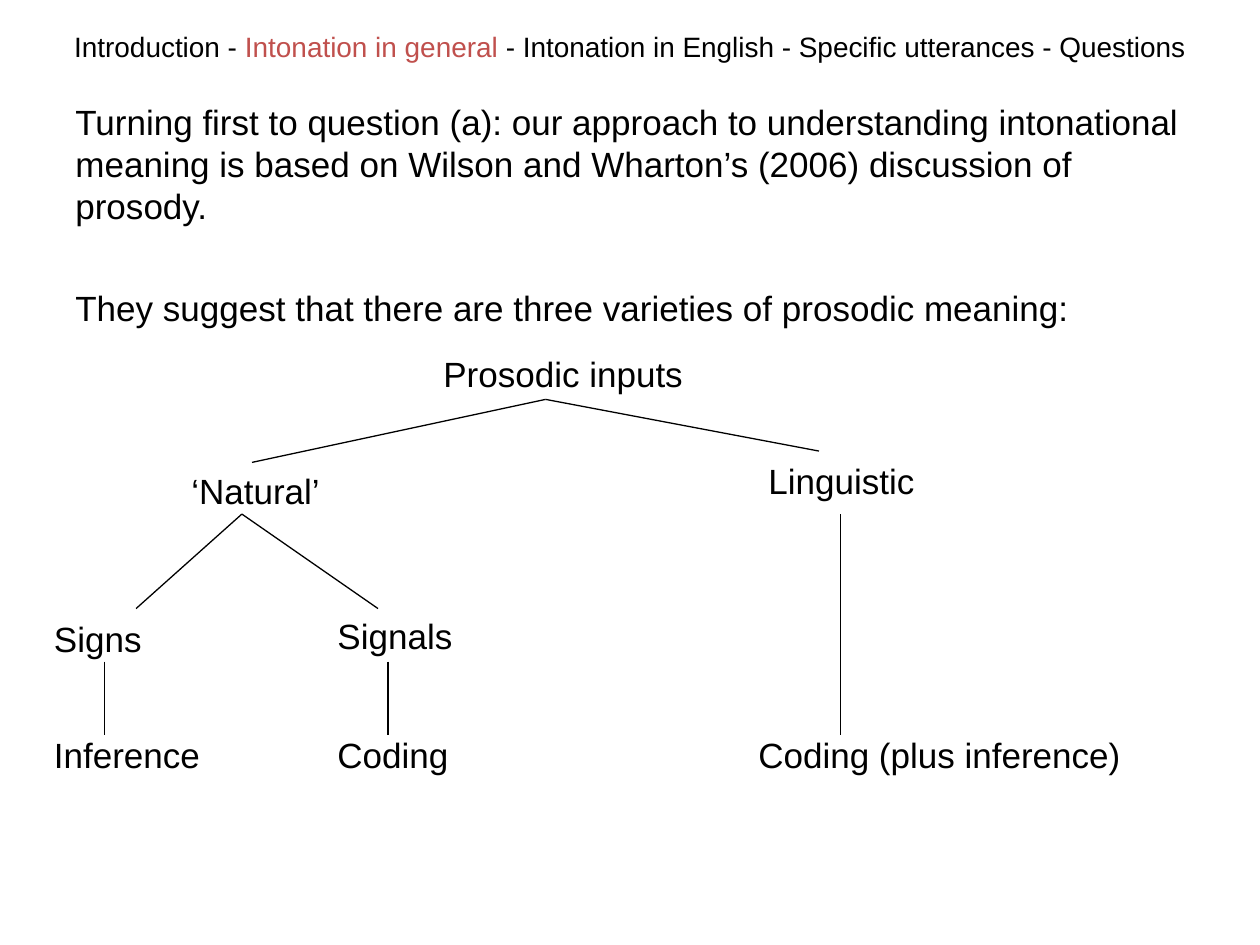
from dataclasses import dataclass

from pptx import Presentation
from pptx.dml.color import RGBColor
from pptx.enum.shapes import MSO_CONNECTOR
from pptx.enum.text import MSO_ANCHOR, PP_ALIGN
from pptx.oxml.ns import qn
from pptx.util import Inches, Pt


@dataclass(frozen=True)
class Theme:
    font: str = "Arial"
    ink: RGBColor = RGBColor(0x00, 0x00, 0x00)
    accent: RGBColor = RGBColor(0xC0, 0x50, 0x4D)
    navigation_size: Pt = Pt(16)
    text_size: Pt = Pt(20)
    body_leading: Pt = Pt(24)
    body_gap: Pt = Pt(34)
    branch_width: Pt = Pt(0.75)


THEME = Theme()

SECTIONS = ["Introduction", "Intonation in general", "Intonation in English",
            "Specific utterances", "Questions"]
CURRENT_SECTION = "Intonation in general"

BODY = [
    "Turning first to question (a): our approach to understanding intonational "
    "meaning is based on Wilson and Wharton’s (2006) discussion of prosody.",
    "They suggest that there are three varieties of prosodic meaning:",
]

NODE_WIDTH, NODE_HEIGHT = 2.17, 0.44
SIGNS_LEFT, SIGNALS_LEFT, OUTCOME_TOP = 0.33, 2.58, 5.77
NODES = [  # text, left, top, width
    ("Prosodic inputs", 3.42, 2.75, NODE_WIDTH),
    ("‘Natural’", 1.42, 3.68, NODE_WIDTH),
    ("Linguistic", 6, 3.6, NODE_WIDTH),
    ("Signs", SIGNS_LEFT, 4.85, NODE_WIDTH),
    ("Signals", SIGNALS_LEFT, 4.83, NODE_WIDTH),
    ("Inference", SIGNS_LEFT, OUTCOME_TOP, NODE_WIDTH),
    ("Coding", SIGNALS_LEFT, OUTCOME_TOP, NODE_WIDTH),
    ("Coding (plus inference)", 5.92, OUTCOME_TOP, 3.83),
]

BRANCHES = [  # parent point, child points
    ((4.33, 3.17), [(2, 3.67), (6.5, 3.58)]),
    ((1.92, 4.08), [(1.08, 4.83), (3, 4.83)]),
    ((0.83, 5.25), [(0.83, 5.83)]),
    ((3.08, 5.25), [(3.08, 5.83)]),
    ((6.67, 4.08), [(6.67, 5.83)]),
]


def add_text_frame(slide, left, top, width, height):
    box = slide.shapes.add_textbox(Inches(left), Inches(top),
                                   Inches(width), Inches(height))
    box.text_frame.word_wrap = True
    return box.text_frame


def style(paragraph, size):
    paragraph.font.name = THEME.font
    paragraph.font.size = size


def add_navigation(slide):
    """Section names in one line, the current one in the accent colour."""
    frame = add_text_frame(slide, 0, 0.08, 10, 0.58)
    frame.margin_left = frame.margin_right = 0
    frame.margin_top = frame.margin_bottom = 0
    frame.vertical_anchor = MSO_ANCHOR.MIDDLE
    paragraph = frame.paragraphs[0]
    paragraph.alignment = PP_ALIGN.CENTER
    style(paragraph, THEME.navigation_size)
    before, after = " - ".join(SECTIONS).split(CURRENT_SECTION)
    for text, color in ((before, THEME.ink), (CURRENT_SECTION, THEME.accent),
                        (after, THEME.ink)):
        run = paragraph.add_run()
        run.text = text
        run.font.color.rgb = color


def add_body(slide):
    frame = add_text_frame(slide, 0.5, 0.75, 9, 1.92)
    for index, text in enumerate(BODY):
        paragraph = frame.add_paragraph() if index else frame.paragraphs[0]
        paragraph.text = text
        paragraph.line_spacing = THEME.body_leading
        if index:
            paragraph.space_before = THEME.body_gap
        style(paragraph, THEME.text_size)
        paragraph.font.color.rgb = THEME.ink


def add_node(slide, text, left, top, width):
    paragraph = add_text_frame(slide, left, top, width, NODE_HEIGHT).paragraphs[0]
    paragraph.text = text
    style(paragraph, THEME.text_size)
    paragraph.font.color.rgb = THEME.ink


def add_branch(slide, start, end):
    points = [Inches(value) for value in (*start, *end)]
    line = slide.shapes.add_connector(MSO_CONNECTOR.STRAIGHT, *points)
    line.line.color.rgb = THEME.ink
    line.line.width = THEME.branch_width
    properties = line._element.spPr
    properties.append(properties.makeelement(qn("a:effectLst"), {}))


def main():
    presentation = Presentation()
    presentation.slide_width = Inches(10)
    presentation.slide_height = Inches(7.5)
    slide = presentation.slides.add_slide(presentation.slide_layouts[6])
    add_navigation(slide)
    add_body(slide)
    for node in NODES:
        add_node(slide, *node)
    for parent, children in BRANCHES:
        for child in children:
            add_branch(slide, parent, child)
    presentation.save("out.pptx")


if __name__ == "__main__":
    main()
